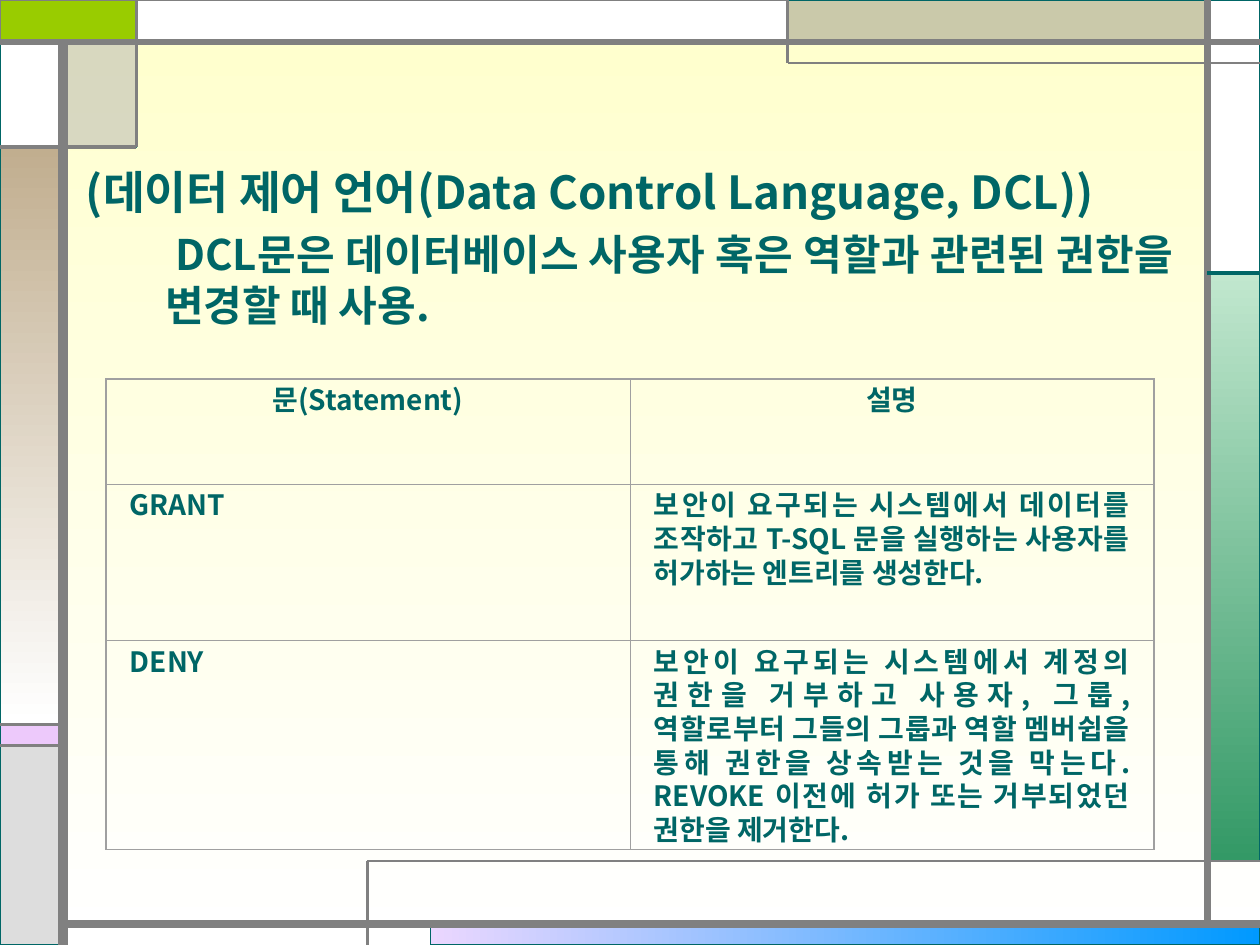
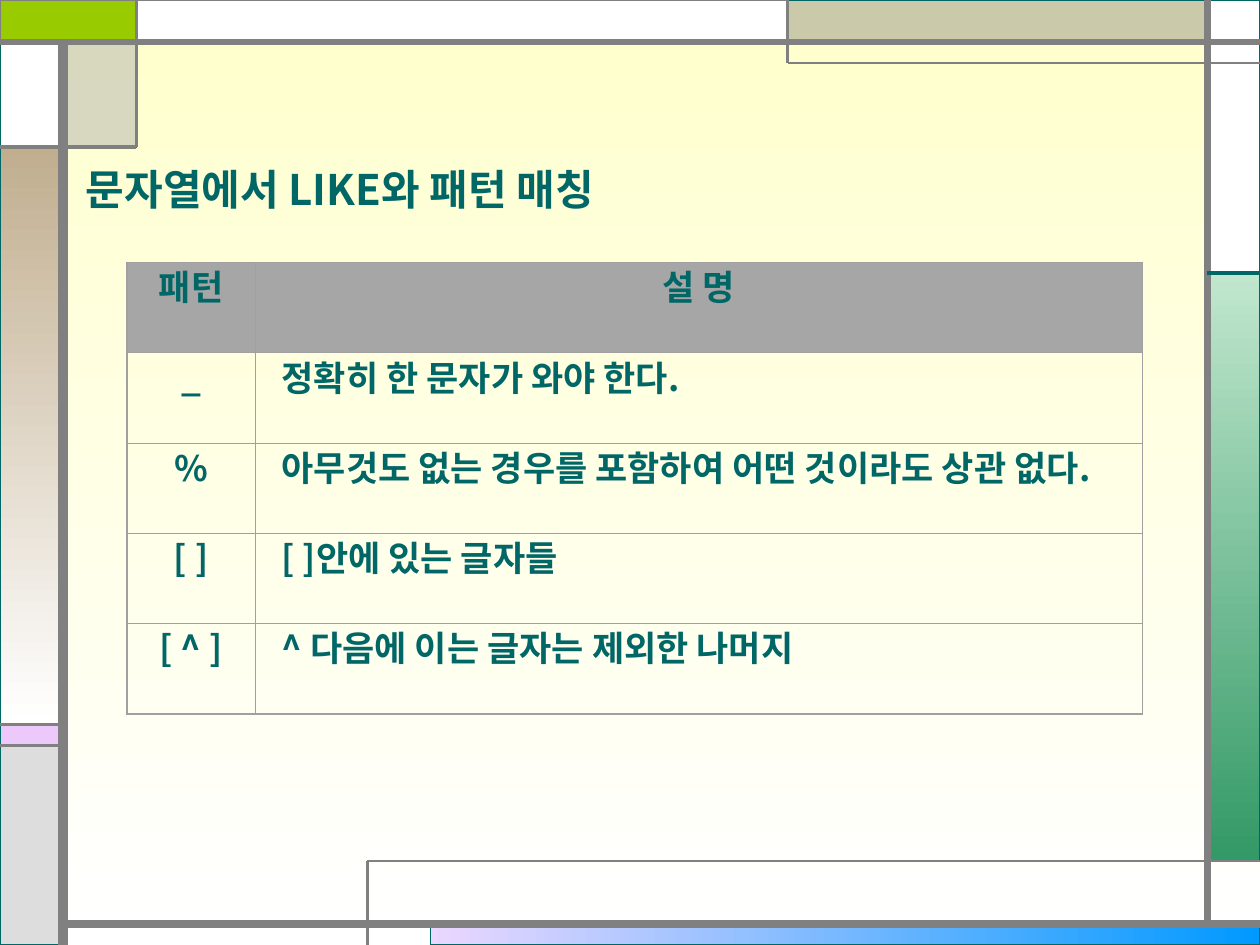
from dataclasses import dataclass

from lxml import etree
from pptx import Presentation
from pptx import util as u
from pptx.dml.color import RGBColor
from pptx.enum import shapes, text
from pptx.oxml.ns import qn


@dataclass(frozen=True)
class Theme:
    font: str = "Noto Sans CJK KR"
    ink: str = "006666"
    rule: str = "808080"
    border: str = "A0A0A0"
    header: str = "A6A6A6"
    background: tuple = ("FFFFCC", "FFFFFF")
    title: int = 26
    body: int = 24
    cell_large: int = 20
    cell_small: int = 16
    leading: float = 1.2


THEME = Theme()
COLUMNS, ROWS = 120, 90  # twelve grid cells to the inch
ALIGN = text.PP_ALIGN
DOWN, ACROSS = 270, 0

# Panels: column, row, width, height, fill, outline colour, outline width
PANELS = [
    (41, 88, 79, 2, ("EBD7FF", "0099FF", ACROSS), THEME.ink, 0.75),
    (115, 26, 5, 56, ("C1E7CE", "339966", DOWN), THEME.ink, 0.75),
    (0, 69, 6, 2, "EDC9FB", THEME.ink, 0.75),
    (0, 71, 6, 19, "DDDDDD", THEME.ink, 0.75),
    (115, 0, 5, 26, "FFFFFF", THEME.ink, 0.75),
    (75, 0, 40, 4, "CAC9AA", THEME.ink, 0.75),
    (6, 4, 7, 10, ("B2B2B2", 50), THEME.ink, 0.75),
    (0, 14, 6, 55, ("C1AE8F", "FFFFFF", DOWN), THEME.ink, 0.75),
    (0, 4, 6, 10, "FFFFFF", THEME.ink, 0.75),
    (0, 0, 13, 4, "99CC00", THEME.rule, 1.5),
    (13, 0, 62, 4, "FFFFFF", THEME.rule, 0.75),
]

# Rules: start column and row, end column and row, colour, width
RULES = [
    (6, 90, 6, 4, THEME.rule, 6),
    (6, 88, 120, 88, THEME.rule, 4.5),
    (115, 88, 115, 0, THEME.rule, 4.5),
    (0, 4, 120, 4, THEME.rule, 3),
    (120, 6, 75, 6, THEME.rule, 1.5),
    (75, 6, 75, 0, THEME.rule, 1.5),
    (115, 26, 120, 26, THEME.ink, 2.25),
    (13, 0, 13, 14, THEME.rule, 1.5),
    (13, 14, 0, 14, THEME.rule, 2.25),
    (35, 90, 35, 82, THEME.rule, 1.5),
    (35, 82, 120, 82, THEME.rule, 1.5),
    (6, 69, 0, 69, THEME.rule, 2.25),
    (6, 71, 0, 71, THEME.rule, 2.25),
]

DCL_ROWS = [
    ("문(Statement)", "설명"),
    ("GRANT", "보안이 요구되는 시스템에서 데이터를 조작하고 T-SQL 문을 실행하는 "
              "사용자를 허가하는 엔트리를 생성한다."),
    ("DENY", "보안이 요구되는 시스템에서 계정의 권한을 거부하고 사용자, 그룹, "
             "역할로부터 그들의 그룹과 역할 멤버쉽을 통해 권한을 상속받는 것을 막는다. "
             "REVOKE 이전에 허가 또는 거부되었던 권한을 제거한다."),
]

PATTERN_ROWS = [
    ("패턴", "설 명"),
    ("_", "정확히 한 문자가 와야 한다."),
    ("%", "아무것도 없는 경우를 포함하여 어떤 것이라도 상관 없다."),
    ("[ ]", "[ ]안에 있는 글자들"),
    ("[ ^ ]", "^ 다음에 이는 글자는 제외한 나머지"),
]


def cells(*counts):
    """Turn grid counts into lengths."""
    return [u.Inches(count / 12) for count in counts]


def rgb(value):
    return RGBColor.from_string(value)


def paint_gradient(fill, first, last, angle):
    fill.gradient()
    fill.gradient_angle = angle
    for stop, colour in zip(fill.gradient_stops, (first, last)):
        stop.color.rgb = rgb(colour)


def paint(shape, fill):
    """Fill with a colour, a (colour, opacity) pair or a gradient triple."""
    if len(fill) == 3:
        paint_gradient(shape.fill, *fill)
        return
    colour, opacity = (fill, 100) if isinstance(fill, str) else fill
    shape.fill.solid()
    shape.fill.fore_color.rgb = rgb(colour)
    if opacity < 100:
        node = next(shape._element.spPr.iter(qn("a:srgbClr")))
        etree.SubElement(node, qn("a:alpha"), val=str(opacity * 1000))


def stroke(line, colour, width):
    line.color.rgb = rgb(colour)
    line.width = u.Pt(width)


def add_panel(page, column, row, width, height, fill, colour, weight):
    panel = page.shapes.add_shape(shapes.MSO_SHAPE.RECTANGLE,
                                  *cells(column, row, width, height))
    panel.shadow.inherit = False
    paint(panel, fill)
    stroke(panel.line, colour, weight)


def add_rule(page, x1, y1, x2, y2, colour, weight):
    rule = page.shapes.add_connector(shapes.MSO_CONNECTOR.STRAIGHT,
                                     *cells(x1, y1, x2, y2))
    stroke(rule.line, colour, weight)
    etree.SubElement(rule._element.spPr, qn("a:effectLst"))


def write(para, words, size, align):
    para.alignment = align
    para.line_spacing = u.Pt(size * THEME.leading)
    span = para.add_run()
    span.text = words
    span.font.name = THEME.font
    span.font.size = u.Pt(size)
    span.font.bold = True
    span.font.color.rgb = rgb(THEME.ink)
    etree.SubElement(span.font._element, qn("a:ea"), typeface=THEME.font)


def add_body(page, lines):
    """Lines are (words, size, first-line indent in inches)."""
    box = page.shapes.add_textbox(*cells(7, 15, 106, 64))
    frame = box.text_frame
    frame.word_wrap = True
    for index, (words, size, indent) in enumerate(lines):
        para = frame.add_paragraph() if index else frame.paragraphs[0]
        write(para, words, size, ALIGN.JUSTIFY)
        para.space_before = u.Pt(size / 4)
        properties = para._p.get_or_add_pPr()
        properties.set("marL", str(u.Inches(0.63)))
        properties.set("indent", str(u.Inches(indent)))


def add_borders(cell, edges):
    """Edges tell whether left, right, top and bottom lie on the outside."""
    properties = cell._tc.get_or_add_tcPr()
    for index, (side, outer) in enumerate(zip("LRTB", edges)):
        width = u.Pt(1 if outer else 0.5)
        line = etree.Element(qn(f"a:ln{side}"), w=str(width))
        solid = etree.SubElement(line, qn("a:solidFill"))
        etree.SubElement(solid, qn("a:srgbClr"), val=THEME.border)
        properties.insert(index, line)


def add_grid(page, origin, widths, heights, rows, size, aligns, inset, header=None):
    frame = page.shapes.add_table(len(rows), len(widths),
                                  *cells(*origin, sum(widths), sum(heights)))
    table = frame.table
    table.first_row = table.horz_banding = False
    for column, width in zip(table.columns, cells(*widths)):
        column.width = width
    for row, height in zip(table.rows, cells(*heights)):
        row.height = height
    for r, row in enumerate(rows):
        for c, words in enumerate(row):
            cell = table.cell(r, c)
            cell.margin_left = cell.margin_right = u.Inches(inset)
            cell.margin_top, cell.margin_bottom = u.Inches(0.05), 0
            cell.vertical_anchor = text.MSO_ANCHOR.TOP
            write(cell.text_frame.paragraphs[0], words, size,
                  aligns[c] if r else ALIGN.CENTER)
            if header and r == 0:
                cell.fill.solid()
                cell.fill.fore_color.rgb = rgb(header)
            else:
                cell.fill.background()
            add_borders(cell, (c == 0, c == len(widths) - 1,
                               r == 0, r == len(rows) - 1))


def add_page(deck):
    """Start a page with the shared background, panels and rules."""
    page = deck.slides.add_slide(deck.slide_layouts[6])
    paint_gradient(page.background.fill, *THEME.background, DOWN)
    for panel in PANELS:
        add_panel(page, *panel)
    for rule in RULES:
        add_rule(page, *rule)
    return page


def main():
    deck = Presentation()
    deck.slide_width, deck.slide_height = cells(COLUMNS, ROWS)

    # Data control language
    page = add_page(deck)
    add_body(page, [
        ("(데이터 제어 언어(Data Control Language, DCL))", THEME.title, -0.63),
        ("DCL문은 데이터베이스 사용자 혹은 역할과 관련된 권한을 변경할 때 사용.",
         THEME.body, 0.08),
    ])
    add_grid(page, (10.1, 36.1), (49.9, 49.9), (10, 14.9, 19.9), DCL_ROWS,
             THEME.cell_small, (ALIGN.JUSTIFY, ALIGN.JUSTIFY), 0.19)

    # Pattern matching
    page = add_page(deck)
    add_body(page, [("문자열에서 LIKE와 패턴 매칭", THEME.body, -0.63)])
    add_grid(page, (12.1, 25), (12.2, 84.5), [8.6] * len(PATTERN_ROWS),
             PATTERN_ROWS, THEME.cell_large, (ALIGN.CENTER, ALIGN.JUSTIFY),
             0.21, THEME.header)

    deck.save("out.pptx")


if __name__ == "__main__":
    main()
